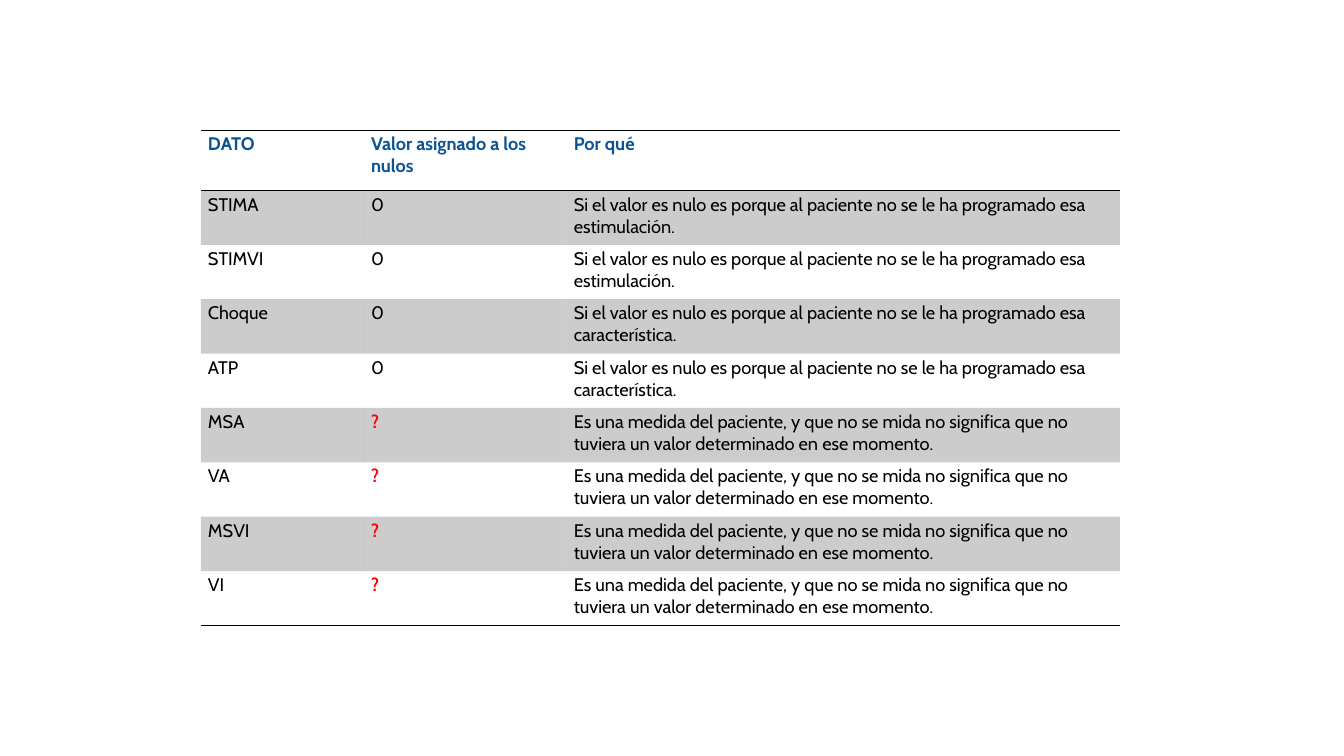
from dataclasses import dataclass
from lxml.etree import SubElement
from pptx import Presentation
from pptx.dml.color import RGBColor
from pptx.oxml.ns import qn
from pptx.util import Cm, Pt


@dataclass(frozen=True)
class Theme:
    font: str = "Cabin"
    size: int = 13
    header: str = "0B5394"
    body: str = "000000"
    unknown: str = "FF0000"
    band: str = "000000"
    band_alpha: int = 20
    rule: str = "000000"
    rule_width: int = 1


theme = Theme()
NO_GRID_STYLE = "{2D5ABB26-0587-4C30-8999-92F81FD0307C}"


def add_border(cell, side):
    properties = cell._tc.get_or_add_tcPr()
    line = SubElement(properties, qn(f"a:{side}"), w=str(Pt(theme.rule_width)))
    fill = SubElement(line, qn("a:solidFill"))
    SubElement(fill, qn("a:srgbClr"), val=theme.rule)


def fill_band(cell):
    cell.fill.solid()
    cell.fill.fore_color.rgb = RGBColor.from_string(theme.band)
    color = cell._tc.tcPr.find(qn("a:solidFill")).find(qn("a:srgbClr"))
    SubElement(color, qn("a:alpha"), val=str(theme.band_alpha * 1000))


not_programmed = "Si el valor es nulo es porque al paciente no se le ha programado esa"
stimulation = f"{not_programmed} estimulación."
feature = f"{not_programmed} característica."
measurement = (
    "Es una medida del paciente, y que no se mida no significa que no "
    "tuviera un valor determinado en ese momento."
)
rows = [
    ("DATO", "Valor asignado a los nulos", "Por qué"),
    ("STIMA", "0", stimulation),
    ("STIMVI", "0", stimulation),
    ("Choque", "0", feature),
    ("ATP", "0", feature),
    ("MSA", "?", measurement),
    ("VA", "?", measurement),
    ("MSVI", "?", measurement),
    ("VI", "?", measurement),
]
column_widths = [4.11, 5.11, 13.94]
row_heights = [1.52] + [1.37] * (len(rows) - 1)

presentation = Presentation()
presentation.slide_width = Cm(33.87)
presentation.slide_height = Cm(19.05)
slide = presentation.slides.add_slide(presentation.slide_layouts[6])

table = slide.shapes.add_table(
    len(rows), len(column_widths), Cm(5.06), Cm(3.28),
    Cm(sum(column_widths)), Cm(sum(row_heights)),
).table
table.horz_banding = False
table._tbl.tblPr.find(qn("a:tableStyleId")).text = NO_GRID_STYLE
for column, width in zip(table.columns, column_widths):
    column.width = Cm(width)
for row, height in zip(table.rows, row_heights):
    row.height = Cm(height)

for row_index, texts in enumerate(rows):
    is_header = row_index == 0
    for column_index, text in enumerate(texts):
        cell = table.cell(row_index, column_index)
        cell.margin_left = cell.margin_right = Cm(0.18)
        cell.margin_top = cell.margin_bottom = Cm(0.08)
        cell.text = text
        is_unknown = text == "?"
        color = theme.header if is_header else theme.unknown if is_unknown else theme.body
        font = cell.text_frame.paragraphs[0].font
        font.name = theme.font
        font.size = Pt(theme.size)
        font.bold = is_header or is_unknown
        font.color.rgb = RGBColor.from_string(color)
        if is_header:
            add_border(cell, "lnT")
        if is_header or row_index == len(rows) - 1:
            add_border(cell, "lnB")
        if row_index % 2:
            fill_band(cell)
        else:
            cell.fill.background()

presentation.save("out.pptx")
